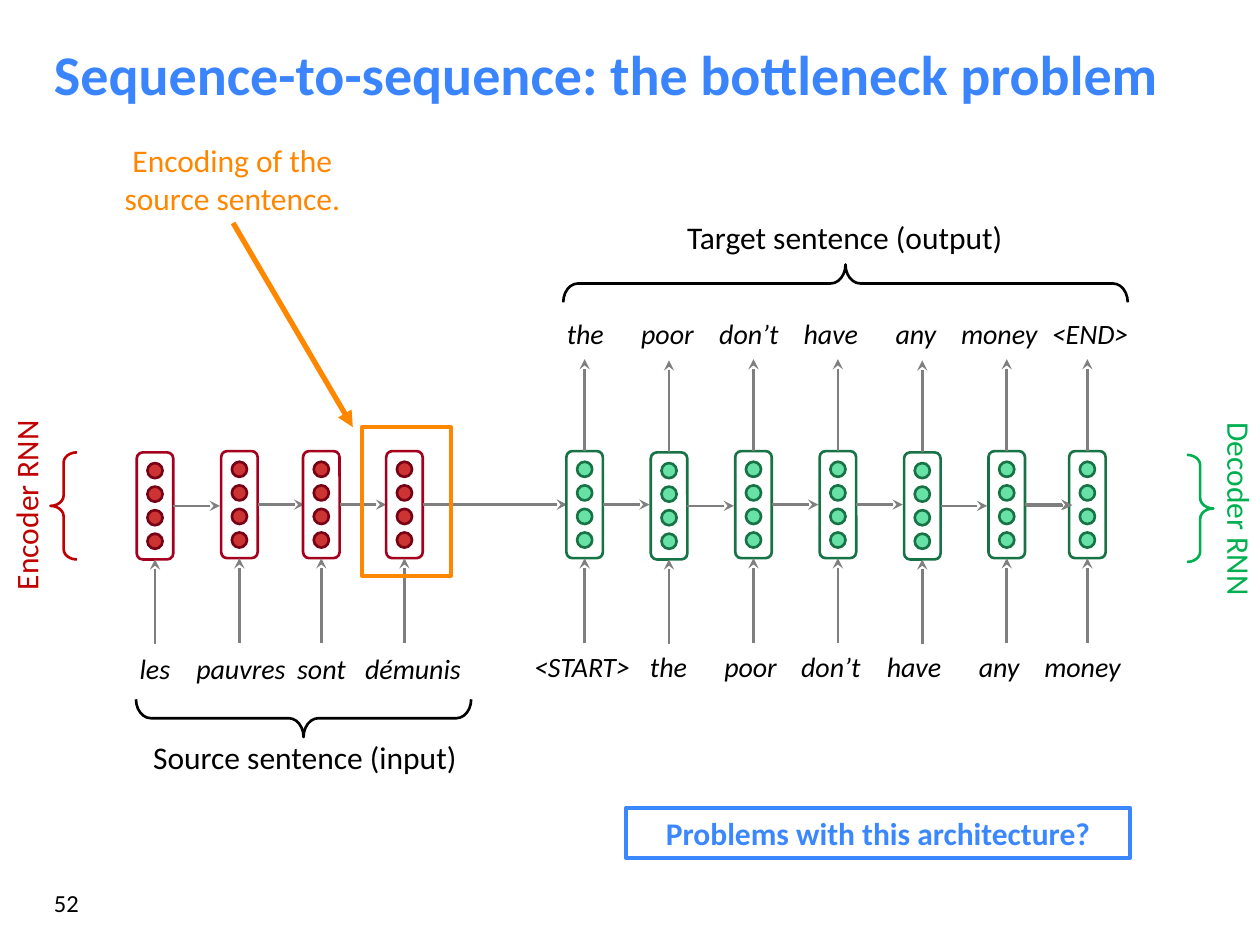
from lxml.etree import SubElement
from pptx import Presentation
from pptx.dml.color import RGBColor
from pptx.enum.shapes import MSO_CONNECTOR, MSO_SHAPE
from pptx.enum.text import MSO_ANCHOR, PP_ALIGN
from pptx.oxml.ns import qn
from pptx.util import Inches, Pt

COLUMNS, ROWS = 10, 7.5  # square grid cells over the whole slide
SLIDE_W, SLIDE_H = Inches(10), Inches(7.5)
FONT = "Calibri"
BLACK, GRAY, BLUE, ORANGE = "000000", "7F7F7F", "3A87FF", "FF8700"
RED, GREEN = "C00000", "00B050"
ENCODER = {"dot": RED, "rim": "770015", "frame": "A4001D"}
DECODER = {"dot": "42DA8F", "rim": "177245", "frame": "177245"}
CELL_W, CELL_H, DOT = 0.29, 0.85, 0.12
CELL_TOP = 3.58
DIP = 0.01


def col(n):
    return round(SLIDE_W * n / COLUMNS)


def row(n):
    return round(SLIDE_H * n / ROWS)


def place(box):
    x, y, w, h = box
    return col(x), row(y), col(w), row(h)


def color(hex_value):
    return RGBColor.from_string(hex_value)


def write(frame, text, size=18, ink=BLACK, bold=False, italic=False,
          align=PP_ALIGN.LEFT, anchor=MSO_ANCHOR.TOP, tabs=()):
    frame.word_wrap = True
    frame.vertical_anchor = anchor
    frame.text = text
    paragraph = frame.paragraphs[0]
    paragraph.alignment = align
    if tabs:
        stops = SubElement(paragraph._p.get_or_add_pPr(), qn("a:tabLst"))
        for stop in tabs:
            SubElement(stops, qn("a:tab"), pos=str(col(stop)), algn="l")
    for run in paragraph.runs:
        font = run.font
        font.name, font.size = FONT, Pt(size)
        font.bold, font.italic = bold, italic
        font.color.rgb = color(ink)


def label(slide, box, text, turn=0, **style):
    text_box = slide.shapes.add_textbox(*place(box))
    text_box.rotation = turn
    write(text_box.text_frame, text, **style)


def outline(shapes, kind, box, ink, width=1.5, fill=None, opacity=100):
    shape = shapes.add_shape(kind, *place(box))
    shape.shadow.inherit = False
    shape.line.color.rgb = color(ink)
    shape.line.width = Pt(width)
    if fill:
        shape.fill.solid()
        shape.fill.fore_color.rgb = color(fill)
        tint = shape.fill._xPr.find(".//" + qn("a:srgbClr"))
        SubElement(tint, qn("a:alpha"), val=str(opacity * 1000))
    else:
        shape.fill.background()
    return shape


def brace(slide, box, ink, turn=0):
    shape = outline(slide.shapes, MSO_SHAPE.LEFT_BRACE, box, ink)
    shape.adjustments[0] = 0.391
    shape.rotation = turn


def arrow(slide, start, end, ink=GRAY, width=1.5, head="stealth"):
    line = slide.shapes.add_connector(
        MSO_CONNECTOR.STRAIGHT, col(start[0]), row(start[1]), col(end[0]), row(end[1]))
    line.line.color.rgb = color(ink)
    line.line.width = Pt(width)
    SubElement(line.line._get_or_add_ln(), qn("a:tailEnd"), type=head)
    SubElement(line._element.spPr, qn("a:effectLst"))


def hidden_state(slide, box, palette):
    """Draw one RNN cell: four dots in a rounded frame."""
    x, y, w, h = box
    group = slide.shapes.add_group_shape()
    for k in range(4):
        dot_box = (x + (w - DOT) / 2, y + 0.1 * h + k * 0.22 * h, DOT, DOT)
        outline(group.shapes, MSO_SHAPE.OVAL, dot_box, palette["rim"],
                fill=palette["dot"], opacity=80)
    frame = outline(group.shapes, MSO_SHAPE.ROUNDED_RECTANGLE, box, palette["frame"])
    frame.adjustments[0] = 0.167


def rnn(slide, centers, dipped, palette, link_end=None, emits=False):
    """Draw a chain of cells; link_end is where the last cell's arrow goes."""
    last = len(centers) - 1
    for i, x in enumerate(centers):
        top = CELL_TOP + (DIP if i in dipped else 0)
        bottom, middle, side = top + CELL_H, top + CELL_H / 2, x + CELL_W / 2
        hidden_state(slide, (x - CELL_W / 2, top, CELL_W, CELL_H), palette)
        arrow(slide, (x, bottom + 0.67), (x, bottom))
        if i < last:
            arrow(slide, (side, middle), (side + 0.37, middle))
        elif link_end:
            arrow(slide, (side, middle), (link_end, middle))
        if emits:
            arrow(slide, (x, top), (x, top - 0.73))


def words(slide, box, tokens, tabs):
    label(slide, box, "\t".join(tokens.split()), size=16, italic=True, tabs=tabs)


def encoder(slide, box):
    x, y, _, _ = box
    label(slide, (x - 0.68, y + 0.22, 1.77, 0.4), "Encoder RNN", turn=270,
          ink=RED, align=PP_ALIGN.CENTER)
    brace(slide, (x + 0.4, y, 0.21, 0.85), RED)
    rnn(slide, [x + step for step in (1.23, 1.9, 2.55, 3.21)], {0}, ENCODER,
        link_end=x + 4.5)
    words(slide, (x + 1.01, y + 1.53, 2.9, 0.37), "les pauvres sont démunis",
          (0.45, 1.25, 1.79))
    brace(slide, (x + 2.26, y + 0.78, 0.3, 2.66), BLACK, turn=270)
    label(slide, (x + 1, y + 2.22, 2.84, 0.4), "Source sentence (input)",
          align=PP_ALIGN.CENTER)


def decoder(slide, box):
    x, y, _, _ = box
    centers = [x + 0.24 + 0.67 * k for k in range(6)] + [x + 4.23]
    rnn(slide, centers, {1, 4}, DECODER, emits=True)
    arrow(slide, (x + 3.74, y + 0.42), (x + 4.11, y + 0.42))
    words(slide, (x - 0.26, y + 1.52, 5.14, 0.37),
          "<START> the poor don’t have any money",
          (0.92, 1.51, 2.12, 2.8, 3.53, 4.05))
    words(slide, (x, y - 1.13, 4.8, 0.37), "the poor don’t have any money <END>",
          (0.59, 1.21, 1.88, 2.61, 3.13, 3.85))
    label(slide, (x + 0.55, y - 1.91, 3.51, 0.4), "Target sentence (output)",
          align=PP_ALIGN.CENTER)
    brace(slide, (x + 2.16, y - 3.58, 0.3, 4.48), BLACK, turn=90)
    brace(slide, (x + 5.02, y + 0.02, 0.21, 0.85), GREEN, turn=180)
    label(slide, (x + 4.58, y + 0.25, 1.72, 0.4), "Decoder RNN", turn=90,
          ink=GREEN, align=PP_ALIGN.CENTER)


def bottleneck(slide, box):
    """Frame the last encoder state and point the note at it."""
    x, y, _, _ = box
    outline(slide.shapes, MSO_SHAPE.RECTANGLE, box, ORANGE, 2.25)
    label(slide, (x - 2.54, y - 2.32, 3.03, 0.71), "Encoding of the\vsource sentence.",
          ink=ORANGE, align=PP_ALIGN.CENTER)
    arrow(slide, (x - 1.02, y - 1.62), (x - 0.07, y), ORANGE, 3, "triangle")


def question(slide, box):
    frame = outline(slide.shapes, MSO_SHAPE.RECTANGLE, box, BLUE, 2.25)
    write(frame.text_frame, "Problems with this architecture?", ink=BLUE, bold=True,
          align=PP_ALIGN.CENTER)


def main():
    deck = Presentation()
    deck.slide_width, deck.slide_height = SLIDE_W, SLIDE_H
    slide = deck.slides.add_slide(deck.slide_layouts[6])
    label(slide, (0.33, 0.21, 9.33, 0.69), "Sequence-to-sequence: the bottleneck problem",
          size=32, ink="3A85FE", bold=True, anchor=MSO_ANCHOR.BOTTOM)
    label(slide, (0.33, 7, 2.17, 0.5), "52", size=14)
    encoder(slide, (0, 3.59, 4.4, 2.62))
    decoder(slide, (4.4, 3.59, 5.6, 1.9))
    bottleneck(slide, (2.87, 3.39, 0.71, 1.18))
    question(slide, (4.97, 6.41, 4, 0.4))
    deck.save("out.pptx")


if __name__ == "__main__":
    main()
